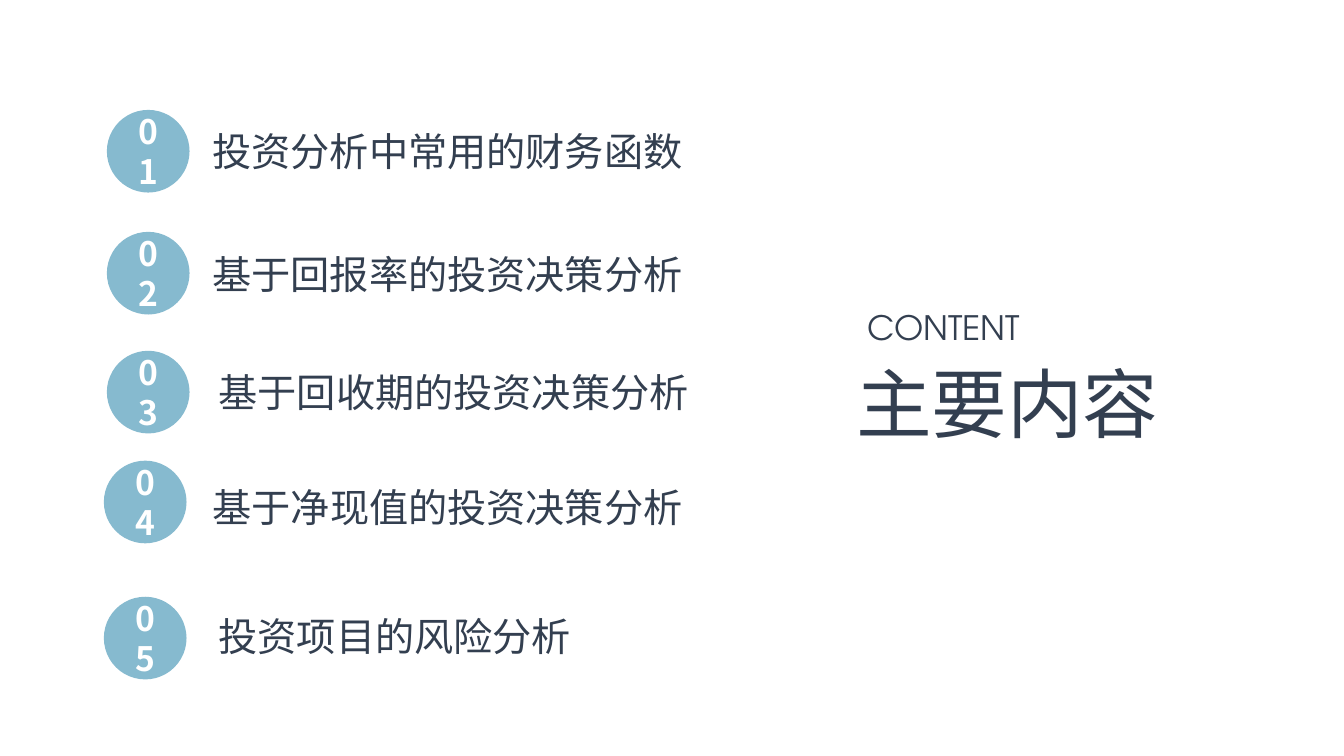
from pptx import Presentation
from pptx.dml.color import RGBColor
from pptx.enum.shapes import MSO_SHAPE
from pptx.enum.text import MSO_ANCHOR, MSO_AUTO_SIZE, PP_ALIGN
from pptx.oxml.ns import qn
from pptx.util import Inches, Pt

COLORS = {"ink": "333F50", "badge": "86BACF", "number": "FFFFFF"}
CJK_FONT = "Noto Sans CJK SC"
LATIN_FONT = "TeX Gyre Adventor"
BADGE_SIZE = 0.82
TOPIC_HEIGHT = 0.57

AGENDA = [
    ("投资分析中常用的财务函数", 1.06, 1.09, 2.01, 1.21, 7.04),
    ("基于回报率的投资决策分析", 1.06, 2.3, 2.01, 2.43, 7.34),
    ("基于回收期的投资决策分析", 1.06, 3.48, 2.07, 3.6, 6.32),
    ("基于净现值的投资决策分析", 1.03, 4.57, 2.01, 4.75, 5.29),
    ("投资项目的风险分析", 1.03, 5.92, 2.07, 6.03, 5.35),
]


def write(frame, text, size, color="ink", font=CJK_FONT, bold=False,
          align=PP_ALIGN.LEFT, anchor=MSO_ANCHOR.TOP,
          fit=MSO_AUTO_SIZE.SHAPE_TO_FIT_TEXT):
    frame.word_wrap = True
    frame.auto_size = fit
    frame.vertical_anchor = anchor
    paragraph = frame.paragraphs[0]
    paragraph.alignment = align
    run = paragraph.add_run()
    run.text = text
    run.font.size = Pt(size)
    run.font.bold = bold
    run.font.color.rgb = RGBColor.from_string(COLORS[color])
    run.font.name = font
    east_asian = run.font._element.makeelement(qn("a:ea"), {"typeface": font})
    run.font._element.find(qn("a:latin")).addnext(east_asian)


def add_heading(slide, left, top, width):
    title = slide.shapes.title
    title.left, title.top = Inches(left), Inches(top + 0.49)
    title.width, title.height = Inches(width), Inches(1.01)
    write(title.text_frame, "主要内容", 54, align=PP_ALIGN.JUSTIFY)
    subtitle = slide.shapes.add_textbox(
        Inches(left + 0.12), Inches(top), Inches(width - 0.18), Inches(0.5))
    write(subtitle.text_frame, "CONTENT", 24, font=LATIN_FONT,
          align=PP_ALIGN.JUSTIFY)


def add_badge(slide, number, left, top):
    badge = slide.shapes.add_shape(
        MSO_SHAPE.OVAL, Inches(left), Inches(top),
        Inches(BADGE_SIZE), Inches(BADGE_SIZE))
    badge.shadow.inherit = False
    badge.fill.solid()
    badge.fill.fore_color.rgb = RGBColor.from_string(COLORS["badge"])
    badge.line.fill.background()
    write(badge.text_frame, f"{number:02d}", 24, color="number", bold=True,
          align=PP_ALIGN.CENTER, anchor=MSO_ANCHOR.MIDDLE,
          fit=MSO_AUTO_SIZE.NONE)


def add_topic(slide, text, left, top, width):
    topic = slide.shapes.add_textbox(
        Inches(left), Inches(top), Inches(width), Inches(TOPIC_HEIGHT))
    write(topic.text_frame, text, 28)


def add_agenda(slide):
    for number, row in enumerate(AGENDA, start=1):
        text, badge_left, badge_top, left, top, width = row
        add_topic(slide, text, left, top, width)
        add_badge(slide, number, badge_left, badge_top)


def main():
    deck = Presentation()
    deck.slide_width, deck.slide_height = Inches(13.33), Inches(7.5)
    slide = deck.slides.add_slide(deck.slide_layouts.get_by_name("Title Only"))
    add_heading(slide, 8.39, 3, 3.42)
    add_agenda(slide)
    deck.save("out.pptx")


if __name__ == "__main__":
    main()
